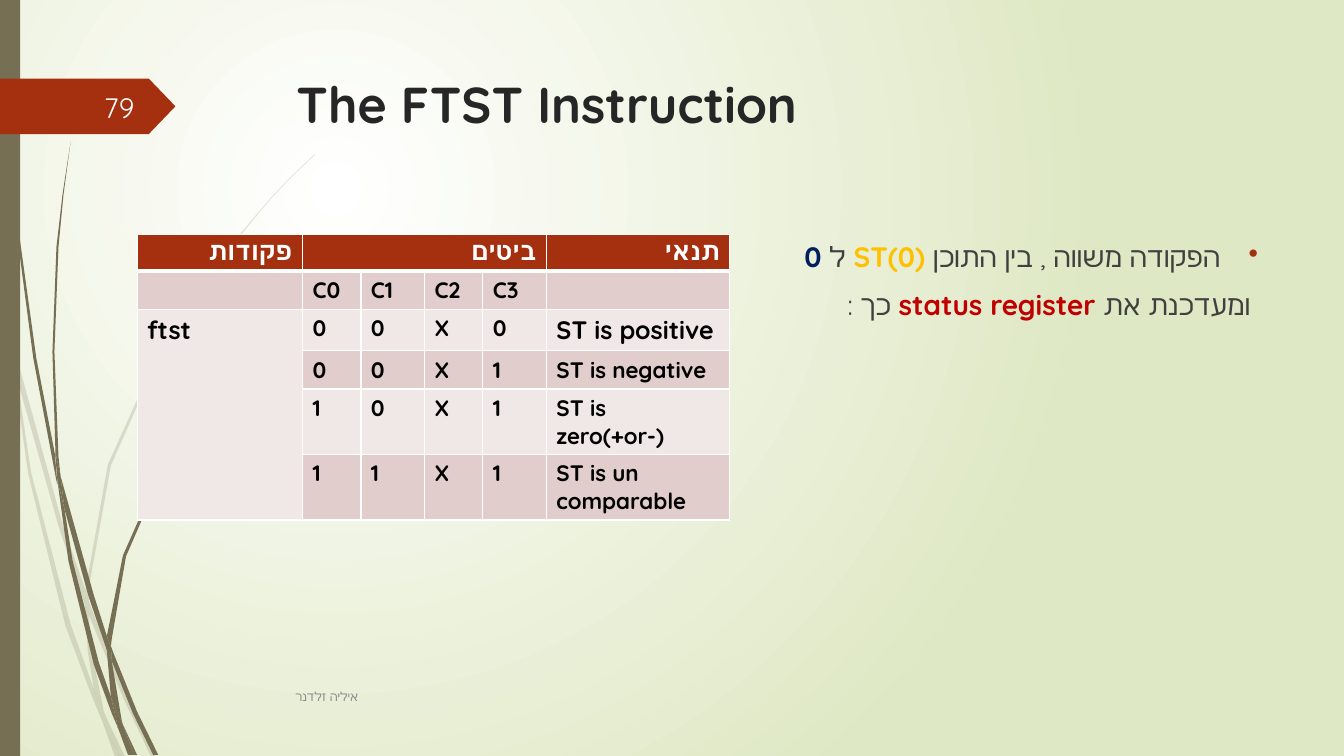
from dataclasses import dataclass

from lxml.etree import SubElement
from pptx import Presentation
from pptx.dml.color import RGBColor
from pptx.enum.shapes import MSO_SHAPE as Shape
from pptx.enum.text import MSO_ANCHOR as Anchor, PP_ALIGN as Align
from pptx.oxml.ns import qn
from pptx.util import Inches, Pt


@dataclass(frozen=True)
class Theme:
    font: str = "Quicksand"
    accent: str = "A53010"
    olive: str = "766F54"
    glow: str = "FFFFFF"
    meadow: str = "DFE8C4"
    white: str = "FFFFFF"
    black: str = "000000"
    heading: str = "262626"
    body: str = "404040"
    muted: str = "8C8C8C"
    number: str = "FEFFFF"
    gold: str = "FFC000"
    navy: str = "002060"
    red: str = "C00000"
    band_dark: str = "E1CDCC"
    band_light: str = "F0E8E7"
    title_size: int = 36
    body_size: int = 20
    large_size: int = 18
    cell_size: int = 16
    footer_size: int = 9


THEME = Theme()

TITLE = "The FTST Instruction"
FOOTER = "איליה זלדנר"
NUMBER = "79"

# Each run: text, colour, bold
EXPLANATION = [
    [("הפקודה משווה , בין התוכן ", THEME.body, False), ("ST(0)", THEME.gold, True),
     (" ל ", THEME.body, False), ("0", THEME.navy, True)],
    [("ומעדכנת את ", THEME.body, False), ("status register ", THEME.red, True),
     ("כך :", THEME.body, False)],
]

TABLE_ROWS = [
    ["פקודות", "ביטים", "", "", "", "תנאי"],
    ["", "C0", "C1", "C2", "C3", ""],
    ["ftst", "0", "0", "X", "0", "ST is positive"],
    ["", "0", "0", "X", "1", "ST is negative"],
    ["", "1", "0", "X", "1", "ST is zero(+or-)"],
    ["", "1", "1", "X", "1", "ST is un comparable"],
]
COLUMN_WIDTHS = [1.64, 0.58, 0.63, 0.58, 0.63, 1.82]
ROW_HEIGHTS = [0.36, 0.38, 0.41, 0.38, 0.65, 0.65]
MERGES = [((0, 1), (0, 4)), ((2, 0), (5, 0))]
LARGE_CELLS = {"ftst", "ST is positive"}

# Outlines of the grass blades, in inches
PALE_BLADES = [
    [(0.11, 3.5), (0.09, 3.22), (0, 2.82), (0, 2.99), (0.1, 3.44)],
    [(0.58, 5.22), (0.84, 5.99), (0.85, 5.86), (0.62, 5.2), (0.14, 3.45), (0.17, 3.76)],
    [(0.92, 6.07), (0.88, 5.96), (0.88, 6.1), (1.23, 6.94), (1.5, 7.51), (1.55, 7.51),
     (1.27, 6.92)],
    [(1.19, 7.51), (1.24, 7.51), (1.05, 7.11)],
    [(0.93, 6.83), (0.7, 6.19), (0.31, 4.69), (0.17, 3.76), (0.11, 3.5), (0.28, 4.7),
     (0.65, 6.21), (0.92, 6.93), (1.01, 7.14), (0.99, 7.07)],
    [(0.84, 5.99), (0.87, 6.46), (0.93, 6.83), (0.96, 6.92), (1.05, 7.11), (1.03, 7.06),
     (0.91, 6.46), (0.88, 6.1), (0.88, 6.08)],
    [(0.88, 5.84), (1.1, 4.62), (1.6, 3.49), (2.29, 2.45), (2.68, 1.98), (2.9, 1.75),
     (3.12, 1.54), (3.12, 1.53), (2.89, 1.75), (2.68, 1.97), (2.28, 2.44), (1.58, 3.48),
     (1.07, 4.61), (0.85, 5.84), (0.85, 5.86), (0.88, 5.96)],
    [(1.01, 7.14), (1.14, 7.51), (1.19, 7.51)],
    [(0.88, 6.08), (0.88, 6.1), (0.88, 5.96), (0.85, 5.86), (0.84, 5.99)],
    [(0.96, 6.92), (0.93, 6.83), (0.99, 7.07), (1.01, 7.14), (1.19, 7.51), (1.05, 7.11)],
]
DARK_BLADES = [
    [(0.07, 1.1), (0.17, 2.33), (0.33, 3.55), (0.56, 4.77), (0.57, 4.81), (0.55, 4.57),
     (0.55, 4.53), (0.36, 3.55), (0.19, 2.32), (0.08, 1.09), (0.05, 0.48), (0.04, 0),
     (0.03, 0), (0.04, 0.48)],
    [(0.88, 5.92), (1.06, 6.45), (1.06, 6.33), (1.06, 6.31), (0.93, 5.9), (0.6, 4.72),
     (0.64, 5.05)],
    [(1.13, 6.49), (1.1, 6.41), (1.11, 6.56), (1.32, 7.08), (1.52, 7.49), (1.57, 7.49),
     (1.36, 7.06)],
    [(1.1, 6.91), (0.98, 6.57), (0.72, 5.56), (0.64, 5.05), (0.57, 4.77), (0.68, 5.57),
     (0.93, 6.59), (1.11, 7.08), (1.17, 7.22), (1.16, 7.17)],
    [(0.6, 4.72), (0.58, 4.53), (0.54, 3.49), (0.58, 2.45), (0.63, 1.93), (0.7, 1.41),
     (0.62, 1.93), (0.56, 2.45), (0.52, 3.49), (0.55, 4.49)],
    [(1.33, 7.49), (1.36, 7.49), (1.22, 7.19)],
    [(0.57, 4.77), (0.64, 5.05), (0.6, 4.72), (0.55, 4.49), (0.55, 4.53)],
    [(1.11, 6.33), (1.25, 5.52), (1.58, 4.76), (2.05, 4.06), (2.31, 3.74), (2.45, 3.59),
     (2.61, 3.44), (2.6, 3.44), (2.45, 3.58), (2.31, 3.73), (2.04, 4.05), (1.56, 4.74),
     (1.22, 5.51), (1.06, 6.31), (1.1, 6.41)],
    [(1.17, 7.22), (1.27, 7.49), (1.31, 7.49)],
    [(1.06, 6.45), (1.1, 6.91), (1.16, 7.06), (1.22, 7.19), (1.21, 7.16), (1.11, 6.56),
     (1.09, 6.51)],
    [(1.06, 6.45), (1.09, 6.51), (1.11, 6.56), (1.1, 6.41), (1.06, 6.31), (1.06, 6.33)],
    [(1.16, 7.06), (1.1, 6.91), (1.16, 7.17), (1.17, 7.22), (1.3, 7.49), (1.33, 7.49),
     (1.22, 7.19)],
]


def paint(shape, color, opacity=100):
    shape.shadow.inherit = False
    shape.line.fill.background()
    shape.fill.solid()
    shape.fill.fore_color.rgb = RGBColor.from_string(color)
    if opacity < 100:
        rgb = shape.element.spPr.find(".//" + qn("a:srgbClr"))
        SubElement(rgb, qn("a:alpha"), val=str(opacity * 1000))


def add_run(paragraph, text, size, color, bold=False):
    run = paragraph.add_run()
    run.text = text
    for name, value in {"size": Pt(size), "bold": bold, "name": THEME.font}.items():
        setattr(run.font, name, value)
    run.font.color.rgb = RGBColor.from_string(color)
    SubElement(run.font._element, qn("a:cs"), typeface=THEME.font)


def place(shape, left, top, width, height, anchor=Anchor.TOP):
    """Position a text shape and return its first paragraph."""
    box = dict(left=left, top=top, width=width, height=height)
    for name, value in box.items():
        setattr(shape, name, Inches(value))
    shape.text_frame.word_wrap = True
    shape.text_frame.vertical_anchor = anchor
    return shape.text_frame.paragraphs[0]


def add_text_box(slide, *box, **options):
    return place(slide.shapes.add_textbox(0, 0, 0, 0), *box, **options)


def set_right_to_left(paragraph):
    paragraph.alignment = Align.RIGHT
    properties = paragraph._p.get_or_add_pPr()
    properties.set("rtl", "1")
    return properties


def draw_background(slide):
    fill = slide.background.fill
    fill.gradient()
    for stop, color in zip(fill.gradient_stops, (THEME.glow, THEME.meadow)):
        stop.color.rgb = RGBColor.from_string(color)
    linear = slide.element.find(".//" + qn("a:lin"))
    gradient = linear.getparent()
    gradient.remove(linear)
    circle = SubElement(gradient, qn("a:path"), path="circle")
    SubElement(circle, qn("a:fillToRect"), l="50000", t="50000", r="100000", b="100000")


def draw_decoration(slide):
    for blades, opacity in ((PALE_BLADES, 20), (DARK_BLADES, 100)):
        for blade in blades:
            start, *rest = [(Inches(x), Inches(y)) for x, y in blade]
            builder = slide.shapes.build_freeform(*start)
            builder.add_line_segments(rest, close=True)
            paint(builder.convert_to_shape(), THEME.olive, opacity)
    bar = slide.shapes.add_shape(Shape.RECTANGLE, 0, 0, Inches(0.2), Inches(7.5))
    paint(bar, THEME.olive)
    tag = slide.shapes.add_shape(Shape.PENTAGON, 0, Inches(0.78), Inches(1.74), Inches(0.55))
    tag.adjustments[0] = 0.48
    paint(tag, THEME.accent)


def draw_text(slide):
    title = place(slide.shapes.title, 2.84, 0.68, 9.75, 1.4)
    title.alignment = Align.LEFT
    add_run(title, TITLE, THEME.title_size, THEME.heading, True)

    first = add_text_box(slide, 2.83, 2.33, 9.75, 4.13)
    second = slide.shapes[-1].text_frame.add_paragraph()
    for paragraph, runs, margin, indent in zip(
            (first, second), EXPLANATION, (0.38, 0.08), (-0.38, 0)):
        properties = set_right_to_left(paragraph)
        properties.set("marL", str(Inches(margin)))
        properties.set("indent", str(Inches(indent)))
        paragraph.space_before = Pt(10)
        for text, color, bold in runs:
            add_run(paragraph, text, THEME.body_size, color, bold)
    bullet = first._p.get_or_add_pPr()
    SubElement(SubElement(bullet, qn("a:buClr")), qn("a:srgbClr"), val=THEME.accent)
    SubElement(bullet, qn("a:buChar"), char="•")

    footer = add_text_box(slide, 2.83, 6.71, 8.33, 0.4, anchor=Anchor.MIDDLE)
    add_run(footer, FOOTER, THEME.footer_size, THEME.muted)
    number = add_text_box(slide, 0.58, 0.86, 0.85, 0.4, anchor=Anchor.MIDDLE)
    number.alignment = Align.RIGHT
    add_run(number, NUMBER, THEME.body_size, THEME.number)


def style_cell(cell, text, is_header, band):
    properties = cell._tc.get_or_add_tcPr()
    sides = {"lnL": 1, "lnR": 1, "lnT": 1, "lnB": 3} if is_header else {"lnL": 1, "lnR": 1, "lnB": 1}
    for side, width in sides.items():
        line = SubElement(properties, qn("a:" + side), w=str(Pt(width)))
        SubElement(SubElement(line, qn("a:solidFill")), qn("a:srgbClr"), val=THEME.white)
    cell.fill.solid()
    cell.fill.fore_color.rgb = RGBColor.from_string(band)
    paragraph = cell.text_frame.paragraphs[0]
    if is_header:
        cell.margin_top = cell.margin_bottom = 0
        set_right_to_left(paragraph)
    if text:
        size = THEME.large_size if is_header or text in LARGE_CELLS else THEME.cell_size
        add_run(paragraph, text, size, THEME.white if is_header else THEME.black, True)
    else:
        SubElement(paragraph._p, qn("a:endParaRPr"), sz=str(THEME.cell_size * 100))


def draw_table(slide):
    frame = slide.shapes.add_table(
        len(TABLE_ROWS), len(COLUMN_WIDTHS), Inches(1.36), Inches(2.33),
        Inches(sum(COLUMN_WIDTHS)), Inches(sum(ROW_HEIGHTS)))
    table = frame.table
    for column, width in zip(table.columns, COLUMN_WIDTHS):
        column.width = Inches(width)
    for row, height in zip(table.rows, ROW_HEIGHTS):
        row.height = Inches(height)
    for i, texts in enumerate(TABLE_ROWS):
        band = THEME.accent if i == 0 else (THEME.band_light, THEME.band_dark)[i % 2]
        for j, text in enumerate(texts):
            style_cell(table.cell(i, j), text, i == 0, band)
    for first, last in MERGES:
        table.cell(*first).merge(table.cell(*last))


def main():
    presentation = Presentation()
    presentation.slide_width, presentation.slide_height = Inches(13.33), Inches(7.5)
    slide = presentation.slides.add_slide(presentation.slide_layouts[5])
    for draw in (draw_background, draw_decoration, draw_text, draw_table):
        draw(slide)
    presentation.save("out.pptx")


if __name__ == "__main__":
    main()
